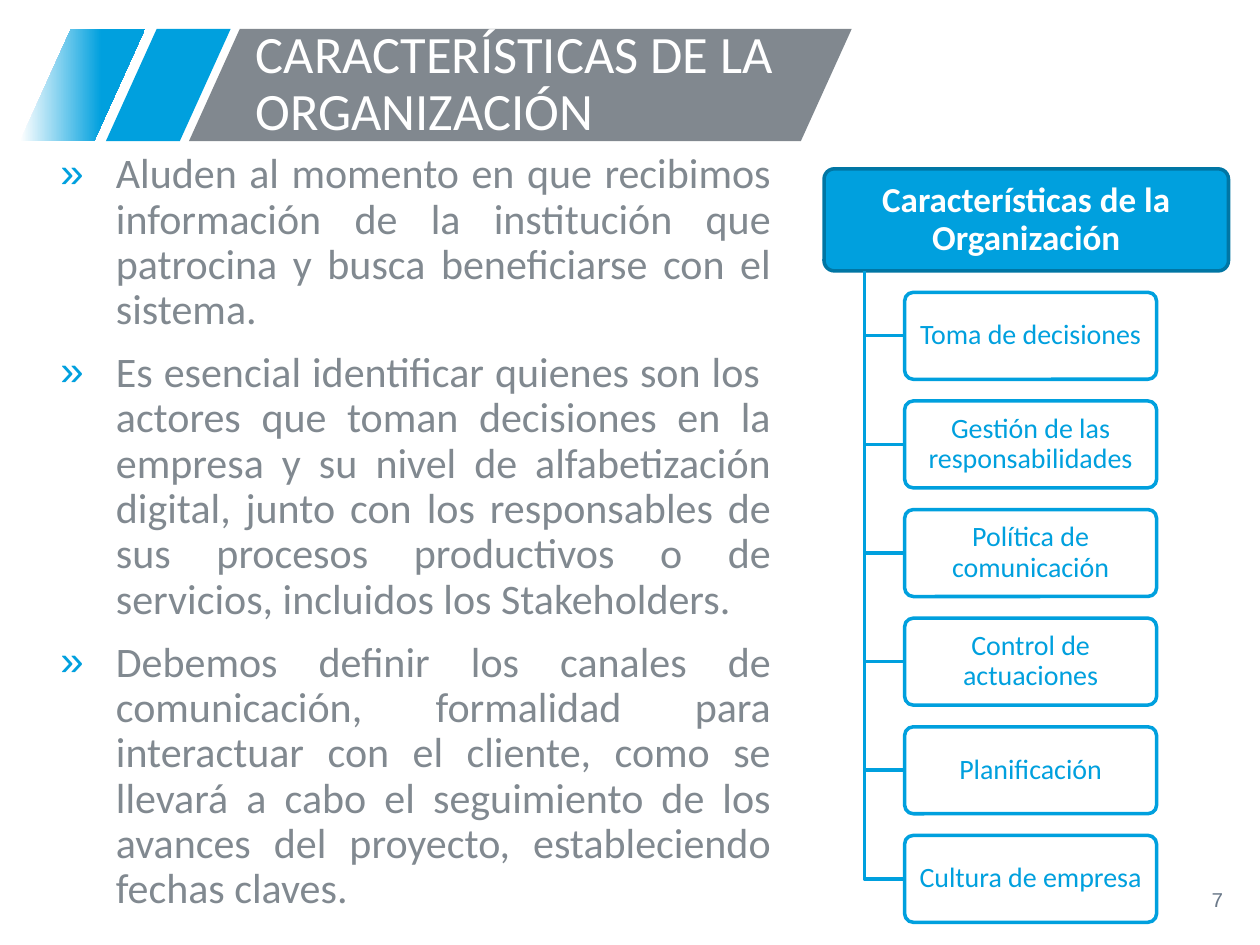
from lxml.etree import SubElement
from pptx import Presentation
from pptx.dml.color import RGBColor
from pptx.enum.shapes import MSO_SHAPE
from pptx.enum.text import MSO_ANCHOR, MSO_AUTO_SIZE, PP_ALIGN
from pptx.oxml.ns import qn
from pptx.util import Inches, Pt

BLUE = RGBColor(0x00, 0xA0, 0xDE)
DARK_BLUE = RGBColor(0x00, 0x76, 0xA4)
BAND_GRAY = RGBColor(0x81, 0x88, 0x8F)
TEXT_GRAY = RGBColor(0x81, 0x89, 0x90)
NUMBER_GRAY = RGBColor(0x6C, 0x7A, 0x8A)
WHITE = RGBColor(0xFF, 0xFF, 0xFF)

TITLE = "CARACTERÍSTICAS DE LA ORGANIZACIÓN"
POINTS = [
    "Aluden al momento en que recibimos información de la institución que patrocina y busca "
    "beneficiarse con el sistema.",
    "Es esencial identificar quienes son los  actores que toman decisiones en la empresa y su "
    "nivel de alfabetización digital, junto con los responsables de sus procesos productivos o "
    "de servicios, incluidos los Stakeholders.",
    "Debemos definir los canales de comunicación, formalidad para interactuar con el cliente, "
    "como se llevará a cabo el seguimiento de los avances del proyecto, estableciendo fechas "
    "claves.",
]
ROOT = "Características de la Organización"
BRANCHES = [
    "Toma de decisiones",
    "Gestión de las responsabilidades",
    "Política de comunicación",
    "Control de actuaciones",
    "Planificación",
    "Cultura de empresa",
]


class SlideBuilder:
    """Holds the style and the current slide, and draws each kind of element."""

    font_name = "Calibri"
    line_width = Pt(2)
    line_spacing = 0.9

    def __init__(self, slide):
        self.slide = slide

    def fill_text(self, frame, texts, size, color, align, margins=(0.1, 0.05),
                  anchor=MSO_ANCHOR.MIDDLE, bold=False, gap=0, bullet=None, font_name=None):
        side, edge = (Inches(margin) for margin in margins)
        frame_format = {
            "word_wrap": True, "auto_size": MSO_AUTO_SIZE.NONE, "vertical_anchor": anchor,
            "margin_left": side, "margin_right": side,
            "margin_top": edge, "margin_bottom": edge,
        }
        for name, value in frame_format.items():
            setattr(frame, name, value)
        for index, text in enumerate(texts):
            paragraph = frame.add_paragraph() if index else frame.paragraphs[0]
            paragraph.text = text
            if bullet:
                self.add_bullet(paragraph, bullet)
            paragraph_format = {
                "alignment": align, "line_spacing": self.line_spacing,
                "space_before": Pt(gap if index else 0), "space_after": Pt(0),
            }
            for name, value in paragraph_format.items():
                setattr(paragraph, name, value)
            font_format = {"name": font_name or self.font_name, "size": Pt(size), "bold": bold}
            for name, value in font_format.items():
                setattr(paragraph.runs[0].font, name, value)
            paragraph.runs[0].font.color.rgb = color

    def add_bullet(self, paragraph, symbol):
        properties = paragraph._p.get_or_add_pPr()
        properties.set("marL", str(Inches(0.5)))
        properties.set("indent", str(Inches(-0.44)))
        bullet_color = SubElement(properties, qn("a:buClr"))
        SubElement(bullet_color, qn("a:srgbClr"), val=str(BLUE))
        SubElement(properties, qn("a:buChar"), char=symbol)

    def placeholder(self, index, box, texts, **text_format):
        holder = self.slide.placeholders[index]
        for name, value in zip(("left", "top", "width", "height"), box):
            setattr(holder, name, Inches(value))
        self.fill_text(holder.text_frame, texts, **text_format)
        self.slide.shapes._spTree.append(holder._element)

    def band(self, left, width, color, fades=False):
        band = self.slide.shapes.add_shape(
            MSO_SHAPE.PARALLELOGRAM, Inches(left), Inches(0.23), Inches(width), Inches(0.89))
        band.adjustments[0] = 0.453
        band.shadow.inherit = False
        band.line.fill.background()
        if not fades:
            band.fill.solid()
            band.fill.fore_color.rgb = color
            return
        band.fill.gradient()
        band.fill.gradient_angle = 0
        for stop, position, shade in zip(band.fill.gradient_stops, (0, 0.65), (WHITE, color)):
            stop.position = position
            stop.color.rgb = shade

    def card(self, box, text, fill, line, **text_format):
        card = self.slide.shapes.add_shape(
            MSO_SHAPE.ROUNDED_RECTANGLE, *(Inches(value) for value in box))
        card.adjustments[0] = 0.1
        card.shadow.inherit = False
        card.fill.solid()
        card.fill.fore_color.rgb = fill
        card.line.color.rgb = line
        card.line.width = self.line_width
        self.fill_text(card.text_frame, [text], align=PP_ALIGN.CENTER, margins=(0.06, 0.05),
                       **text_format)

    def elbow(self, left, top, right, bottom):
        builder = self.slide.shapes.build_freeform(Inches(left), Inches(top))
        builder.add_line_segments(
            [(Inches(left), Inches(bottom)), (Inches(right), Inches(bottom))], close=False)
        elbow = builder.convert_to_shape()
        elbow.shadow.inherit = False
        elbow.fill.background()
        elbow.line.color.rgb = BLUE
        elbow.line.width = self.line_width

    def label(self, box, text, **text_format):
        label = self.slide.shapes.add_textbox(*(Inches(value) for value in box))
        self.fill_text(label.text_frame, [text], **text_format)


def main():
    deck = Presentation()
    deck.slide_width, deck.slide_height = Inches(10), Inches(7.5)
    page = SlideBuilder(deck.slides.add_slide(deck.slide_layouts[1]))

    page.band(0.84, 0.99, BLUE)
    page.band(0.16, 0.99, BLUE, fades=True)
    page.band(1.5, 5.26, BAND_GRAY)
    page.label((7.56, 6.95, 2.25, 0.4), "7", size=12, color=NUMBER_GRAY,
               align=PP_ALIGN.RIGHT, font_name="Courier New")
    page.placeholder(1, (0.32, 1.16, 5.9, 5.62), POINTS, size=24, color=TEXT_GRAY,
                     align=PP_ALIGN.JUSTIFY, anchor=MSO_ANCHOR.TOP, gap=10, bullet="»")
    page.placeholder(0, (1.93, 0.23, 4.69, 0.89), [TITLE], size=30, color=WHITE,
                     align=PP_ALIGN.LEFT)

    root_top, root_height = 1.34, 0.81
    page.card((6.54, root_top, 3.21, root_height), ROOT, BLUE, DARK_BLUE,
              size=20, color=WHITE, bold=True)
    branch_left, branch_height, first_top, last_top = 7.18, 0.69, 2.32, 6.63
    pitch = (last_top - first_top) / (len(BRANCHES) - 1)
    for row, branch in enumerate(BRANCHES):
        top = first_top + row * pitch
        page.elbow(6.86, root_top + root_height, branch_left, top + branch_height / 2)
        page.card((branch_left, top, 2, branch_height), branch, WHITE, BLUE,
                  size=16, color=BLUE)

    deck.save("out.pptx")


if __name__ == "__main__":
    main()
